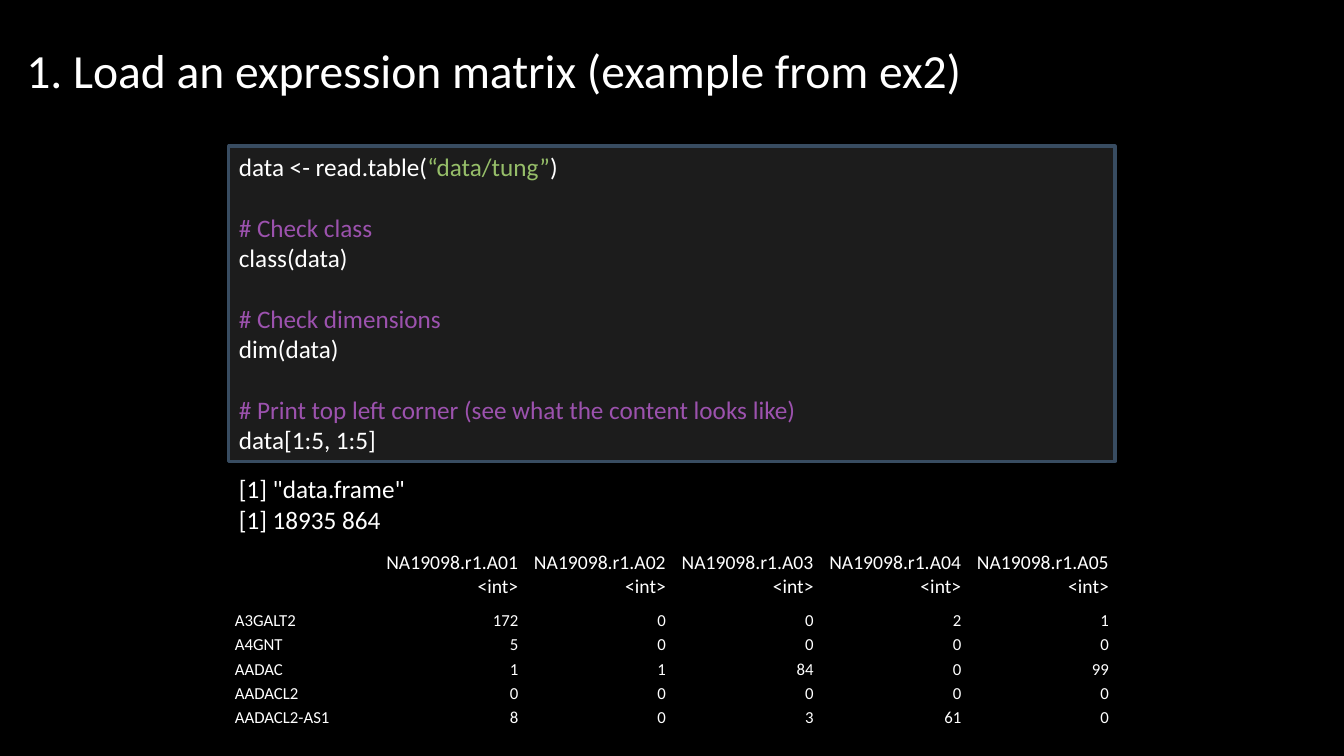
from dataclasses import dataclass

from lxml.etree import SubElement
from pptx import Presentation
from pptx.dml.color import RGBColor as Rgb
from pptx.enum.shapes import MSO_SHAPE as Shape
from pptx.enum.text import MSO_ANCHOR as Anchor, MSO_AUTO_SIZE as AutoSize, PP_ALIGN as Align
from pptx.oxml.ns import qn
from pptx.util import Cm, Pt


@dataclass(frozen=True)
class Theme:
    font: str = "Calibri"
    background: str = "000000"
    text: str = "FFFFFF"
    panel: str = "1C1C1C"
    panel_line: str = "384C61"
    string: str = "96BE69"
    comment: str = "9C52AE"
    title_size: int = 34
    code_size: int = 18
    header_size: int = 14
    cell_size: int = 12
    code_gap: int = 22
    plain_table: str = "{2D5ABB26-0587-4C30-8999-92F81FD0307C}"


TITLE = "1. Load an expression matrix (example from ex2)"
# Each block is a list of lines, each line a list of (text, theme colour) spans.
CODE_BLOCKS = [
    [[("data <- read.table(", "text"), ("“data/tung”", "string"), (")", "text")]],
    [[("# Check class", "comment")], [("class(data)", "text")]],
    [[("# Check dimensions", "comment")], [("dim(data)", "text")]],
    [[("# Print top left corner (see what the content looks like)", "comment")],
     [("data[1:5, 1:5]", "text")]],
]
OUTPUT = '[1] "data.frame"\n[1] 18935 864'
HEADER = [""] + [f"NA19098.r1.A0{number}\n<int>" for number in range(1, 6)]
COUNTS = {
    "A3GALT2": [172, 0, 0, 2, 1],
    "A4GNT": [5, 0, 0, 0, 0],
    "AADAC": [1, 1, 84, 0, 99],
    "AADACL2": [0, 0, 0, 0, 0],
    "AADACL2-AS1": [8, 0, 3, 61, 0],
}
LEFT, WIDTH = 5.77, 22.33
HEADER_HEIGHT, ROW_HEIGHT = 1.75, 0.61


class SlideBuilder:
    def __init__(self, page, theme):
        self.page, self.theme = page, theme
        fill = page.background.fill
        fill.solid()
        fill.fore_color.rgb = Rgb.from_string(theme.background)

    def style_span(self, span, size, colour):
        span.font.name = self.theme.font
        span.font.size = Pt(size)
        span.font.color.rgb = Rgb.from_string(colour)

    def style_frame(self, frame, size, align=Align.LEFT):
        for para in frame.paragraphs:
            para.alignment = align
            for span in para.runs:
                self.style_span(span, size, self.theme.text)

    def title(self, text, left, top, width, height):
        box = self.page.shapes.title
        box.left, box.top, box.width, box.height = map(Cm, (left, top, width, height))
        frame = box.text_frame
        frame.text = text
        frame.vertical_anchor = Anchor.MIDDLE
        frame.paragraphs[0].line_spacing = 0.9
        self.style_frame(frame, self.theme.title_size)

    def code_panel(self, blocks, left, top, width, height):
        theme = self.theme
        box = self.page.shapes.add_shape(Shape.RECTANGLE, *map(Cm, (left, top, width, height)))
        box.shadow.inherit = False
        box.fill.solid()
        box.fill.fore_color.rgb = Rgb.from_string(theme.panel)
        box.line.color.rgb = Rgb.from_string(theme.panel_line)
        box.line.width = Pt(2.25)
        frame = box.text_frame
        frame.word_wrap = True
        frame.auto_size = AutoSize.SHAPE_TO_FIT_TEXT
        frame.vertical_anchor = Anchor.TOP
        lines = [(line, block_index > 0 and line_index == 0)
                 for block_index, block in enumerate(blocks)
                 for line_index, line in enumerate(block)]
        for index, (line, opens_block) in enumerate(lines):
            para = frame.add_paragraph() if index else frame.paragraphs[0]
            para.alignment = Align.LEFT
            para.space_before = Pt(theme.code_gap if opens_block else 0)
            for text, role in line:
                span = para.add_run()
                span.text = text
                self.style_span(span, theme.code_size, getattr(theme, role))

    def text(self, text, left, top, width, height):
        box = self.page.shapes.add_textbox(*map(Cm, (left, top, width, height)))
        frame = box.text_frame
        frame.text = text
        frame.word_wrap = False
        frame.auto_size = AutoSize.SHAPE_TO_FIT_TEXT
        self.style_frame(frame, self.theme.code_size)

    def cell_border(self, cell, side):
        """Draw a 1 pt line in the background colour on side lnT or lnB."""
        line = SubElement(cell._tc.get_or_add_tcPr(), qn(f"a:{side}"), w=str(Pt(1)))
        fill = SubElement(line, qn("a:solidFill"))
        SubElement(fill, qn("a:srgbClr"), val=self.theme.background)

    def table(self, rows, left, top, width, header_height, row_height):
        theme = self.theme
        heights = [header_height] + [row_height] * (len(rows) - 1)
        table = self.page.shapes.add_table(
            len(rows), len(rows[0]), *map(Cm, (left, top, width, sum(heights)))).table
        table.first_row = table.horz_banding = False
        table._tbl.tblPr.find(qn("a:tableStyleId")).text = theme.plain_table
        for row_index, values in enumerate(rows):
            table.rows[row_index].height = Cm(heights[row_index])
            is_header = row_index == 0
            for column_index, value in enumerate(values):
                cell = table.cell(row_index, column_index)
                cell.text_frame.text = str(value)
                cell.vertical_anchor = Anchor.MIDDLE
                cell.margin_left = cell.margin_right = Cm(0.15)
                cell.margin_top = Cm(0.13 if is_header else 0.05)
                cell.margin_bottom = Cm(0.08 if is_header else 0.05)
                self.style_frame(cell.text_frame,
                                 theme.header_size if is_header else theme.cell_size,
                                 Align.RIGHT if column_index else Align.LEFT)
                if row_index < 2:
                    self.cell_border(cell, "lnB" if is_header else "lnT")
                cell.fill.background()


def main():
    deck = Presentation()
    deck.slide_width, deck.slide_height = Cm(33.87), Cm(19.05)
    title_only = deck.slide_layouts.get_by_name("Title Only")
    builder = SlideBuilder(deck.slides.add_slide(title_only), Theme())
    builder.title(TITLE, 0.41, 0, 29.21, 3.68)
    builder.code_panel(CODE_BLOCKS, LEFT, 3.68, WIDTH, 7.95)
    rows = [HEADER] + [[gene, *counts] for gene, counts in COUNTS.items()]
    builder.table(rows, LEFT, 13.59, WIDTH, HEADER_HEIGHT, ROW_HEIGHT)
    builder.text(OUTPUT, LEFT, 11.81, 4.88, 1.8)
    deck.save("out.pptx")


if __name__ == "__main__":
    main()
